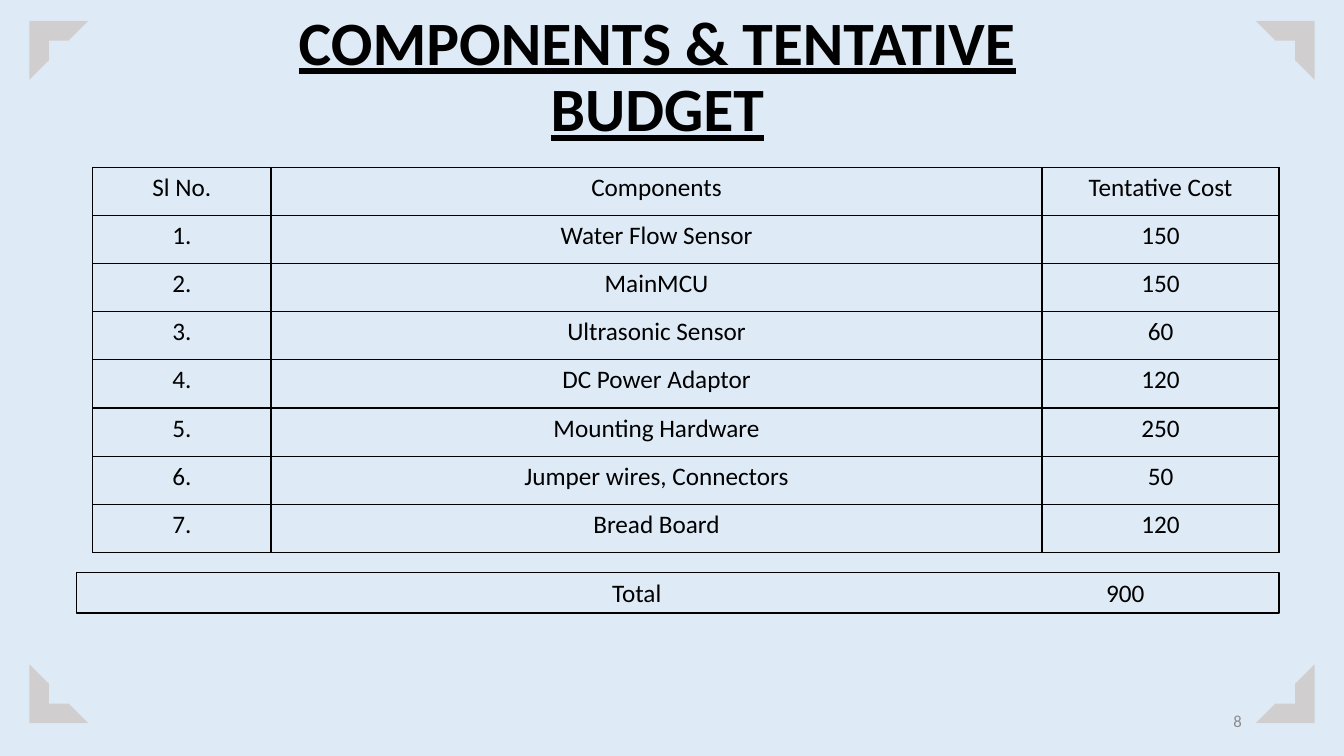
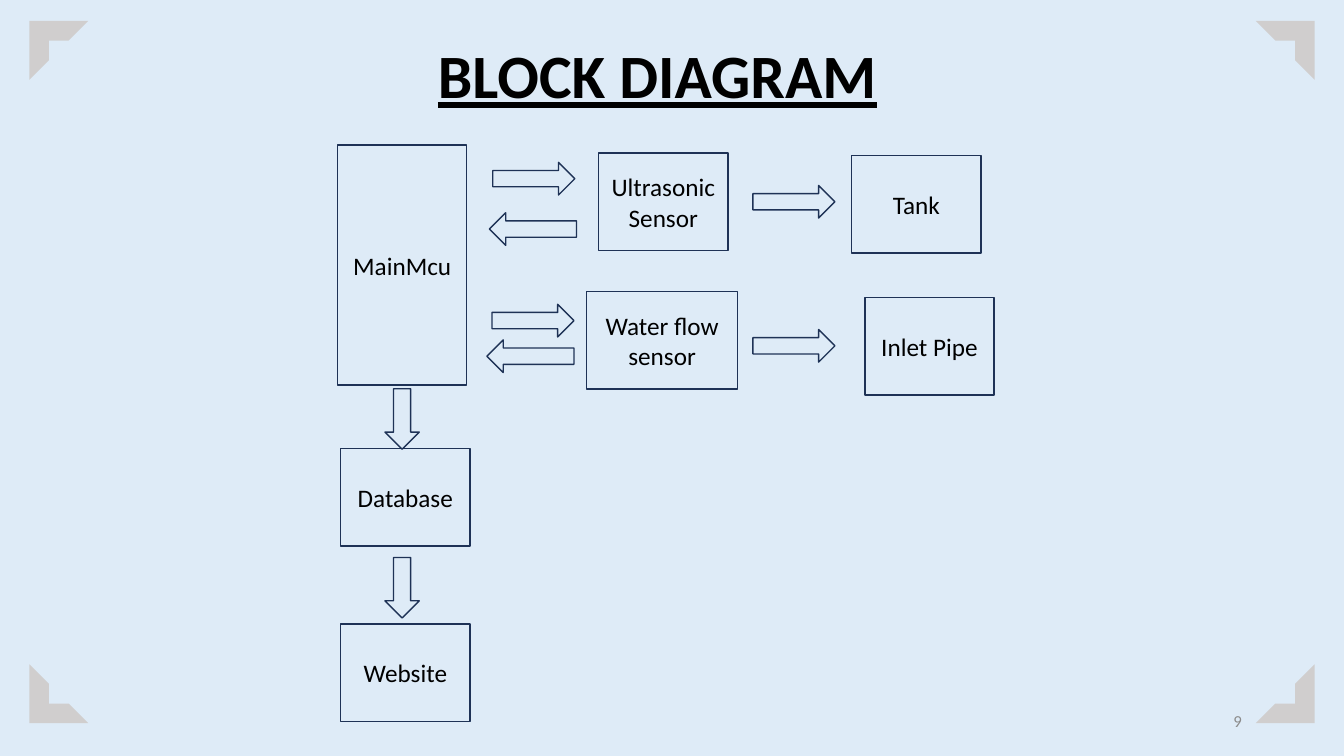
from lxml.etree import SubElement
from pptx import Presentation
from pptx.dml.color import RGBColor
from pptx.enum.shapes import MSO_SHAPE
from pptx.enum.text import MSO_ANCHOR, PP_ALIGN
from pptx.oxml.ns import qn
from pptx.util import Pt

COLOURS = {
    "background": "DEEBF7",
    "corner": "D0CECE",
    "text": "000000",
    "number": "8C8C8C",
    "outline": "1E3256",
}
TITLE = {"size": Pt(44), "bold": True, "underline": True}
BODY = {"size": Pt(18)}
NUMBER = {"size": Pt(12)}

COMPONENTS = [
    ("Sl No.", "Components", "Tentative Cost"),
    ("1.", "Water Flow Sensor", "150"),
    ("2.", "MainMCU", "150"),
    ("3.", "Ultrasonic Sensor", "60"),
    ("4.", "DC Power Adaptor", "120"),
    ("5.", "Mounting Hardware", "250"),
    ("6.", "Jumper wires, Connectors", "50"),
    ("7.", "Bread Board", "120"),
]
COLUMN_WIDTHS = (127.4, 550.8, 169.2)
ROW_HEIGHT = 34.4
TOTAL_TABS = (393, 742)

# Text, left, top, width, height
BLOCKS = [
    ("MainMcu", 241.2, 103.7, 92.2, 171.4),
    ("Database", 243.4, 320.4, 92.2, 69.8),
    ("Website", 243.4, 445.7, 92.2, 69.8),
    ("Ultrasonic\nSensor", 427.7, 109.4, 92.2, 69.8),
    ("Water flow\nsensor", 419, 208.1, 108, 69.8),
    ("Tank", 608.4, 110.9, 92.2, 69.8),
    ("Inlet Pipe", 617.8, 212.4, 92.2, 69.8),
]
# Size of each kind of arrow, and the places where it stands
ARROWS = [
    (MSO_SHAPE.RIGHT_ARROW, (58.6, 23.3),
     [(352, 116), (351.4, 217.4), (537.8, 132.5), (537.8, 235.4)]),
    (MSO_SHAPE.LEFT_ARROW, (62.2, 23.3), [(349.6, 152), (347.8, 242.8)]),
    (MSO_SHAPE.DOWN_ARROW, (24.5, 43.2), [(275, 277.7), (275, 398.2)]),
]


def colour(name):
    return RGBColor.from_string(COLOURS[name])


def write(frame, text, style, ink="text", align=PP_ALIGN.CENTER):
    """Fill a text frame, one paragraph for each line."""
    frame.text = text
    for para in frame.paragraphs:
        para.alignment = align
        for span in para.runs:
            span.font.name = "Calibri"
            span.font.color.rgb = colour(ink)
            for name, value in style.items():
                setattr(span.font, name, value)


def add_text(page, place, text, style, **options):
    box = page.shapes.add_textbox(*map(Pt, place))
    box.text_frame.word_wrap = True
    box.text_frame.vertical_anchor = MSO_ANCHOR.MIDDLE
    write(box.text_frame, text, style, **options)
    return box


def add_outline(page, kind, place, ink="outline"):
    shape = page.shapes.add_shape(kind, *map(Pt, place))
    shape.shadow.inherit = False
    shape.fill.background()
    shape.line.color.rgb = colour(ink)
    shape.line.width = Pt(1)
    return shape


def add_block(page, place, text, ink="outline", align=PP_ALIGN.CENTER):
    block = add_outline(page, MSO_SHAPE.RECTANGLE, place, ink)
    block.text_frame.word_wrap = True
    block.text_frame.vertical_anchor = MSO_ANCHOR.MIDDLE
    write(block.text_frame, text, BODY, align=align)
    return block


def add_corners(page):
    group = page.shapes.add_group_shape()
    left, right, top, bottom = 21, 897, 15, 474.5
    corners = [(left, top), (right, top), (right, bottom), (left, bottom)]
    for turn, (x, y) in enumerate(corners):
        corner = group.shapes.add_shape(
            MSO_SHAPE.HALF_FRAME, Pt(x), Pt(y), Pt(42), Pt(42))
        corner.rotation = 90 * turn
        corner.shadow.inherit = False
        corner.fill.solid()
        corner.fill.fore_color.rgb = colour("corner")
        corner.line.fill.background()


def add_page(deck, title, number):
    """Add a page with the parts that all pages share."""
    page = deck.slides.add_slide(deck.slide_layouts[6])
    page.background.fill.solid()
    page.background.fill.fore_color.rgb = colour("background")
    heading = add_text(page, (139, 10.8, 661, 90.7), title, TITLE)
    heading.text_frame.paragraphs[0].line_spacing = 0.9
    add_text(page, (678.2, 500.4, 216, 28.8), str(number), NUMBER,
             ink="number", align=PP_ALIGN.RIGHT)
    add_corners(page)
    return page


def set_borders(cell):
    properties = cell._tc.get_or_add_tcPr()
    for position, side in enumerate(("lnL", "lnR", "lnT", "lnB")):
        line = properties.makeelement(qn(f"a:{side}"), {"w": str(Pt(1))})
        properties.insert(position, line)
        fill = SubElement(line, qn("a:solidFill"))
        SubElement(fill, qn("a:srgbClr"), val=COLOURS["text"])


def add_grid(page, left, top, rows):
    frame = page.shapes.add_table(
        len(rows), len(COLUMN_WIDTHS), Pt(left), Pt(top),
        Pt(sum(COLUMN_WIDTHS)), Pt(ROW_HEIGHT * len(rows)))
    table = frame.table
    table.first_row = table.horz_banding = False
    for column, width in zip(table.columns, COLUMN_WIDTHS):
        column.width = Pt(width)
    for row, texts in zip(table.rows, rows):
        row.height = Pt(ROW_HEIGHT)
        for cell, text in zip(row.cells, texts):
            cell.fill.background()
            set_borders(cell)
            write(cell.text_frame, text, BODY)


def add_total(page, place, label, amount):
    """Add the total bar, its texts centred on tab stops."""
    bar = add_block(page, place, f"\t{label}\t{amount}", "text", PP_ALIGN.LEFT)
    properties = bar.text_frame.paragraphs[0]._p.get_or_add_pPr()
    tabs = SubElement(properties, qn("a:tabLst"))
    for stop in TOTAL_TABS:
        SubElement(tabs, qn("a:tab"), pos=str(Pt(stop)), algn="ctr")


def main():
    deck = Presentation()
    deck.slide_width, deck.slide_height = Pt(960), Pt(540)

    # Budget
    page = add_page(deck, "COMPONENTS & TENTATIVE BUDGET", 8)
    add_grid(page, 66.2, 119.5, COMPONENTS)
    add_total(page, (54.7, 409, 859, 28.8), "Total", "900")

    # Block diagram
    page = add_page(deck, "BLOCK DIAGRAM", 9)
    for text, *place in BLOCKS:
        add_block(page, place, text)
    for kind, size, corners in ARROWS:
        for corner in corners:
            add_outline(page, kind, corner + size)

    deck.save("out.pptx")


if __name__ == "__main__":
    main()
